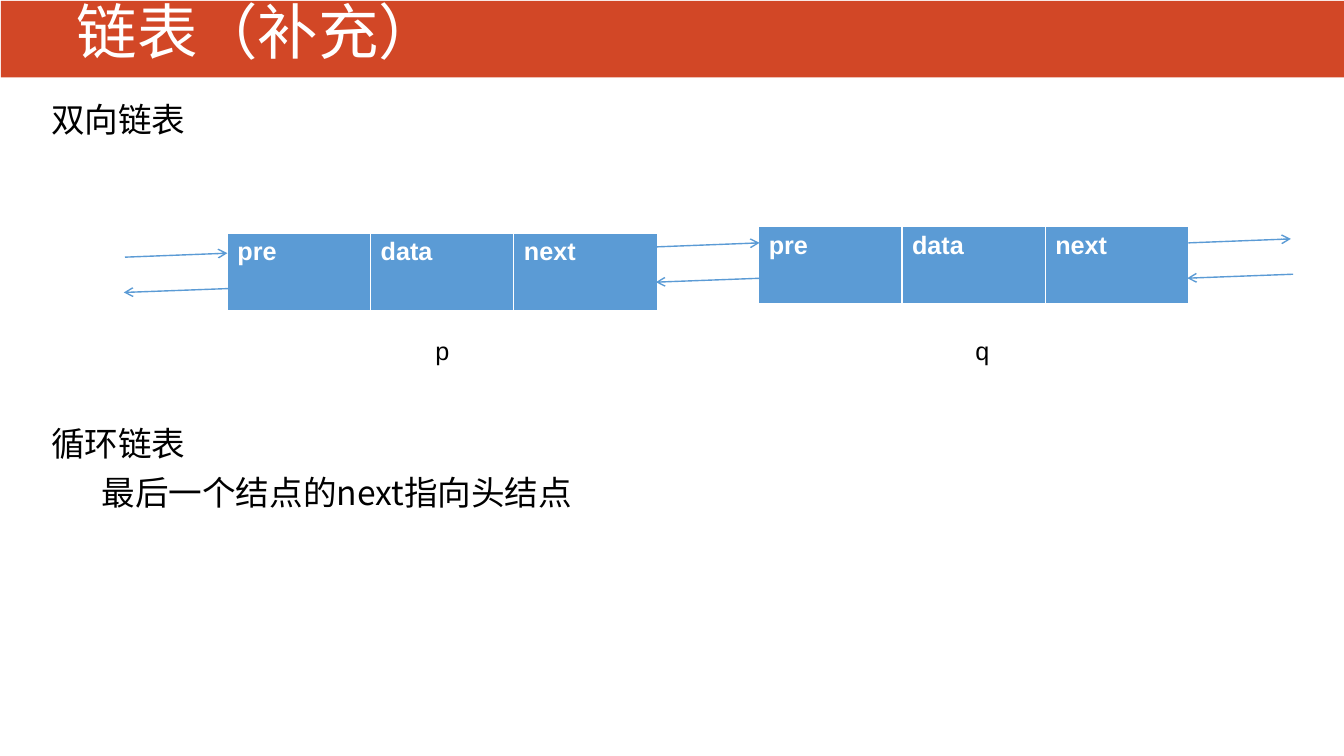
"""Build the slide on doubly linked and circular linked lists."""
from dataclasses import dataclass

from lxml.etree import SubElement
from pptx import Presentation
from pptx.dml.color import RGBColor
from pptx.enum.shapes import MSO_CONNECTOR, MSO_SHAPE
from pptx.oxml.ns import qn
from pptx.slide import Slide
from pptx.util import Cm, Pt

BANNER_RED = RGBColor(0xD2, 0x47, 0x26)
NODE_BLUE = RGBColor(0x5B, 0x9B, 0xD5)
WHITE = RGBColor(0xFF, 0xFF, 0xFF)
BLACK = RGBColor(0x00, 0x00, 0x00)
LATIN_FONT = "Arial"
CHINESE_FONT = "Noto Sans CJK SC"
FIELDS = ("pre", "data", "next")
FIELD_WIDTH = 3.61
NODE_HEIGHT = 1.98
BORDERS = (("a:lnL", 1), ("a:lnR", 1), ("a:lnT", 1), ("a:lnB", 3))


@dataclass(frozen=True)
class Line:
    text: str
    indent: float = 0


@dataclass(frozen=True)
class TextBlock:
    left: float
    top: float
    width: float
    height: float
    lines: tuple[Line, ...]
    size: float = 24
    font: str = CHINESE_FONT
    color: RGBColor = BLACK
    line_spacing: float = 0.9
    inset: float = 0.13


@dataclass(frozen=True)
class Point:
    left: float
    top: float

    def shifted(self, right: float, down: float) -> "Point":
        return Point(self.left + right, self.top + down)


TEXT_BLOCKS = (
    TextBlock(1.68, 0.05, 29.87, 2.03, (Line("链表（补充）"),), 43.2, color=WHITE, inset=0),
    TextBlock(1.04, 2.49, 31.78, 1.5, (Line("双向链表"),)),
    TextBlock(1.04, 10.64, 31.78, 3,
              (Line("循环链表"), Line("最后一个结点的next指向头结点", 1.27))),
    TextBlock(10.72, 8.33, 11.28, 1.02, (Line("p"),), 18, LATIN_FONT, line_spacing=1),
    TextBlock(24.33, 8.33, 4.24, 1.02, (Line("q"),), 18, LATIN_FONT, line_spacing=1),
)
NODES = (Point(5.73, 5.87), Point(19.12, 5.71))
LINKS = (Point(3.15, 6.48), Point(16.56, 6.22), Point(29.95, 6.12))


def add_run(paragraph, text: str, size: float, font: str, color: RGBColor,
            bold: bool = False) -> None:
    run = paragraph.add_run()
    run.text = text
    run.font.size = Pt(size)
    run.font.name = font
    run.font.bold = bold
    run.font.color.rgb = color
    SubElement(run.font._element, qn("a:ea"), typeface=font)


def add_banner(slide: Slide) -> None:
    banner = slide.shapes.add_shape(MSO_SHAPE.RECTANGLE, Cm(0.02), Cm(0.02), Cm(33.85), Cm(1.93))
    banner.shadow.inherit = False
    banner.fill.solid()
    banner.fill.fore_color.rgb = BANNER_RED
    banner.line.fill.background()


def add_text_block(slide: Slide, block: TextBlock) -> None:
    shape = slide.shapes.add_textbox(Cm(block.left), Cm(block.top),
                                     Cm(block.width), Cm(block.height))
    frame = shape.text_frame
    frame.word_wrap = True
    frame.margin_top = frame.margin_bottom = Cm(block.inset)
    for index, line in enumerate(block.lines):
        paragraph = frame.add_paragraph() if index else frame.paragraphs[0]
        paragraph.line_spacing = block.line_spacing
        paragraph.space_before = Pt(9 if index else 0)
        properties = paragraph._p.get_or_add_pPr()
        properties.set("marL", str(Cm(line.indent)))
        properties.set("indent", "0")
        add_run(paragraph, line.text, block.size, block.font, block.color)


def add_cell_borders(cell) -> None:
    properties = cell._tc.get_or_add_tcPr()
    for index, (tag, width) in enumerate(BORDERS):
        border = properties.makeelement(qn(tag), {"w": str(Pt(width))})
        fill = SubElement(border, qn("a:solidFill"))
        SubElement(fill, qn("a:srgbClr"), val=str(WHITE))
        properties.insert(index, border)


def add_node(slide: Slide, corner: Point) -> None:
    frame = slide.shapes.add_table(1, len(FIELDS), Cm(corner.left), Cm(corner.top),
                                   Cm(FIELD_WIDTH * len(FIELDS)), Cm(NODE_HEIGHT))
    for cell, field in zip(frame.table.iter_cells(), FIELDS):
        cell.fill.solid()
        cell.fill.fore_color.rgb = NODE_BLUE
        add_cell_borders(cell)
        add_run(cell.text_frame.paragraphs[0], field, 18, LATIN_FONT, WHITE, bold=True)


def add_arrow(slide: Slide, start: Point, end: Point) -> None:
    connector = slide.shapes.add_connector(MSO_CONNECTOR.STRAIGHT, Cm(start.left), Cm(start.top),
                                           Cm(end.left), Cm(end.top))
    connector.line.color.rgb = NODE_BLUE
    connector.line.width = Pt(1)
    SubElement(connector.line._get_or_add_ln(), qn("a:tailEnd"), type="arrow")
    SubElement(connector._element.spPr, qn("a:effectLst"))


def add_link(slide: Slide, origin: Point) -> None:
    add_arrow(slide, origin, origin.shifted(2.58, -0.1))
    add_arrow(slide, origin.shifted(2.64, 0.79), origin.shifted(-0.03, 0.89))


def main() -> None:
    presentation = Presentation()
    presentation.slide_width = Cm(33.87)
    presentation.slide_height = Cm(19.05)
    slide = presentation.slides.add_slide(presentation.slide_layouts[6])
    add_banner(slide)
    for block in TEXT_BLOCKS:
        add_text_block(slide, block)
    for corner in NODES:
        add_node(slide, corner)
    for origin in LINKS:
        add_link(slide, origin)
    presentation.save("out.pptx")


if __name__ == "__main__":
    main()
